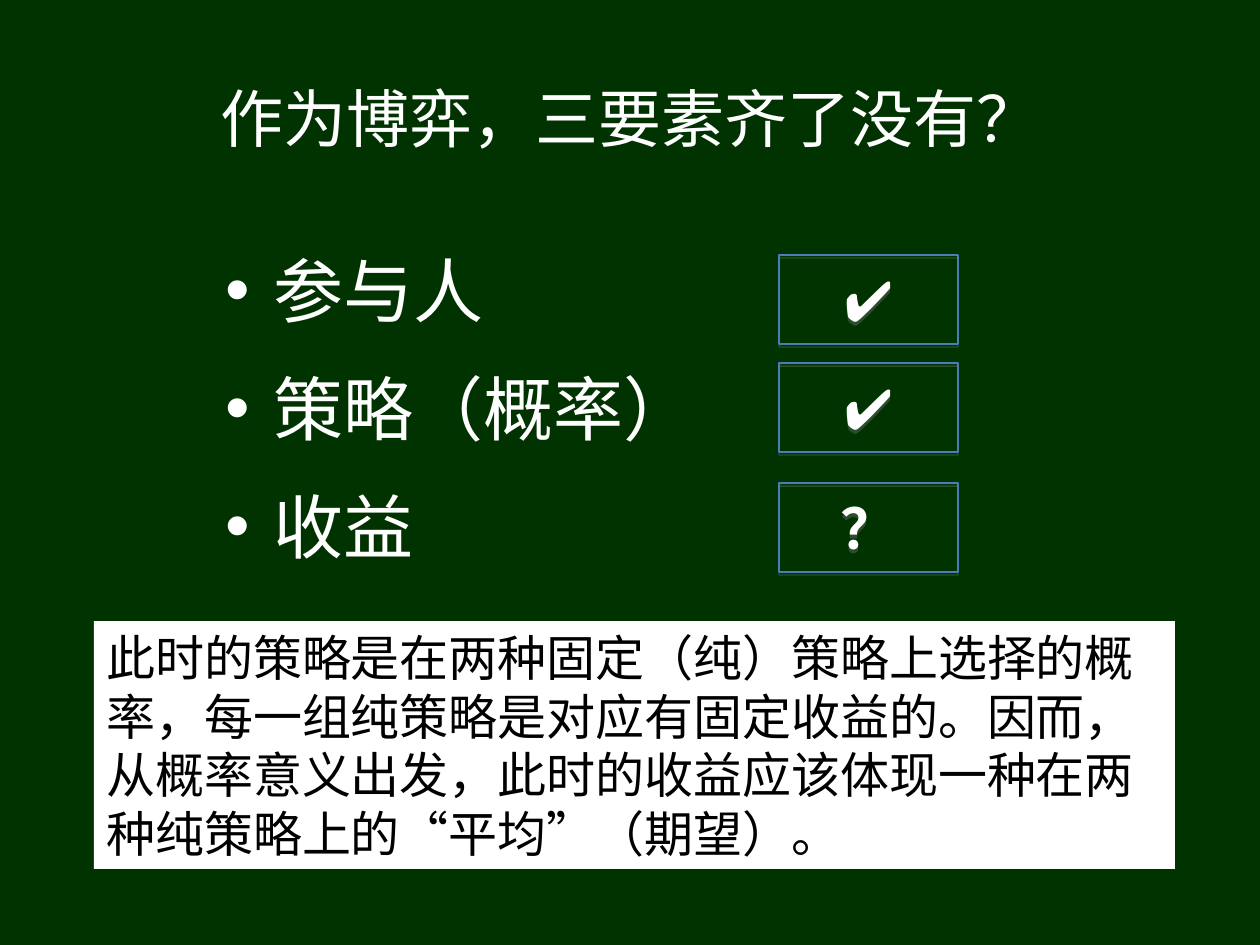
from lxml.etree import SubElement
from pptx import Presentation
from pptx.dml.color import RGBColor
from pptx.enum.shapes import MSO_SHAPE
from pptx.enum.text import MSO_ANCHOR, MSO_AUTO_SIZE, PP_ALIGN
from pptx.oxml.ns import qn
from pptx.util import Pt

PX = 7257.14  # EMU in one px, 126 px to the inch
CJK = "Noto Sans CJK SC"
WHITE = "FFFFFF"


def place(shape, left, top, width, height):
    shape.left, shape.top = round(left * PX), round(top * PX)
    shape.width, shape.height = round(width * PX), round(height * PX)


def add_span(para, text, size, color=WHITE, font=CJK, bold=False):
    """Add a run whose typeface also applies to East Asian characters."""
    span = para.add_run()
    span.text = text
    span.font.size = Pt(size)
    span.font.bold = bold
    span.font.name = font
    span.font.color.rgb = RGBColor.from_string(color)
    SubElement(span.font._element, qn("a:ea"), typeface=font)


deck = Presentation()
deck.slide_width, deck.slide_height = round(1260 * PX), round(945 * PX)
page = deck.slides.add_slide(deck.slide_layouts[1])
page.background.fill.solid()
page.background.fill.fore_color.rgb = RGBColor.from_string("003300")

# Title
title = page.shapes.title
place(title, 63, 38, 1134, 158)
title.text_frame.auto_size = MSO_AUTO_SIZE.NONE
title.text_frame.vertical_anchor = MSO_ANCHOR.MIDDLE
para = title.text_frame.paragraphs[0]
para.alignment = PP_ALIGN.CENTER
add_span(para, "作为博弈，三要素齐了没有？", 36)

# The three elements of a game
elements = page.placeholders[1]
place(elements, 213, 224, 507, 358)
frame = elements.text_frame
frame.auto_size = MSO_AUTO_SIZE.NONE
for index, name in enumerate(["参与人", "策略（概率）", "收益"]):
    para = frame.add_paragraph() if index else frame.paragraphs[0]
    properties = para._p.get_or_add_pPr()
    properties.set("marL", str(round(48 * PX)))
    properties.set("indent", str(round(-48 * PX)))
    bullet_color = SubElement(properties, qn("a:buClr"))
    SubElement(bullet_color, qn("a:srgbClr"), val=WHITE)
    SubElement(properties, qn("a:buChar"), char="•")
    para.line_spacing = 1.2
    para.space_before = Pt(10 if index else 0)
    add_span(para, name, 40)

# Answer boxes, one beside each element
for top, mark, font, bold in [
    (255, "✔", "Arial", False),
    (363, "✔", "Arial", False),
    (483, "？", CJK, True),
]:
    box = page.shapes.add_shape(MSO_SHAPE.RECTANGLE, 0, 0, 0, 0)
    place(box, 779, top, 179, 89)
    box.fill.background()
    box.line.color.rgb = RGBColor.from_string("4A7EBB")
    box.line.width = Pt(0.75)
    box.shadow.inherit = False
    effects = box._element.spPr.find(qn("a:effectLst"))
    shadow = SubElement(effects, qn("a:outerShdw"), blurRad="0",
                        dist=str(Pt(1.8)), dir="5400000", rotWithShape="0")
    shadow_color = SubElement(shadow, qn("a:srgbClr"), val="808080")
    SubElement(shadow_color, qn("a:alpha"), val="35000")
    box.text_frame.vertical_anchor = MSO_ANCHOR.MIDDLE
    para = box.text_frame.paragraphs[0]
    para.alignment = PP_ALIGN.CENTER
    add_span(para, mark, 32, font=font, bold=bold)

# Explanation
note = page.shapes.add_textbox(0, 0, 0, 0)
place(note, 94, 621, 1081, 248)
note.fill.solid()
note.fill.fore_color.rgb = RGBColor.from_string(WHITE)
note.text_frame.word_wrap = True
note.text_frame.auto_size = MSO_AUTO_SIZE.SHAPE_TO_FIT_TEXT
add_span(
    note.text_frame.paragraphs[0],
    "此时的策略是在两种固定（纯）策略上选择的概率，每一组纯策略是对应有固定收益的。"
    "因而，从概率意义出发，此时的收益应该体现一种在两种纯策略上的“平均”（期望）。",
    28, "000000",
)

deck.save("out.pptx")
